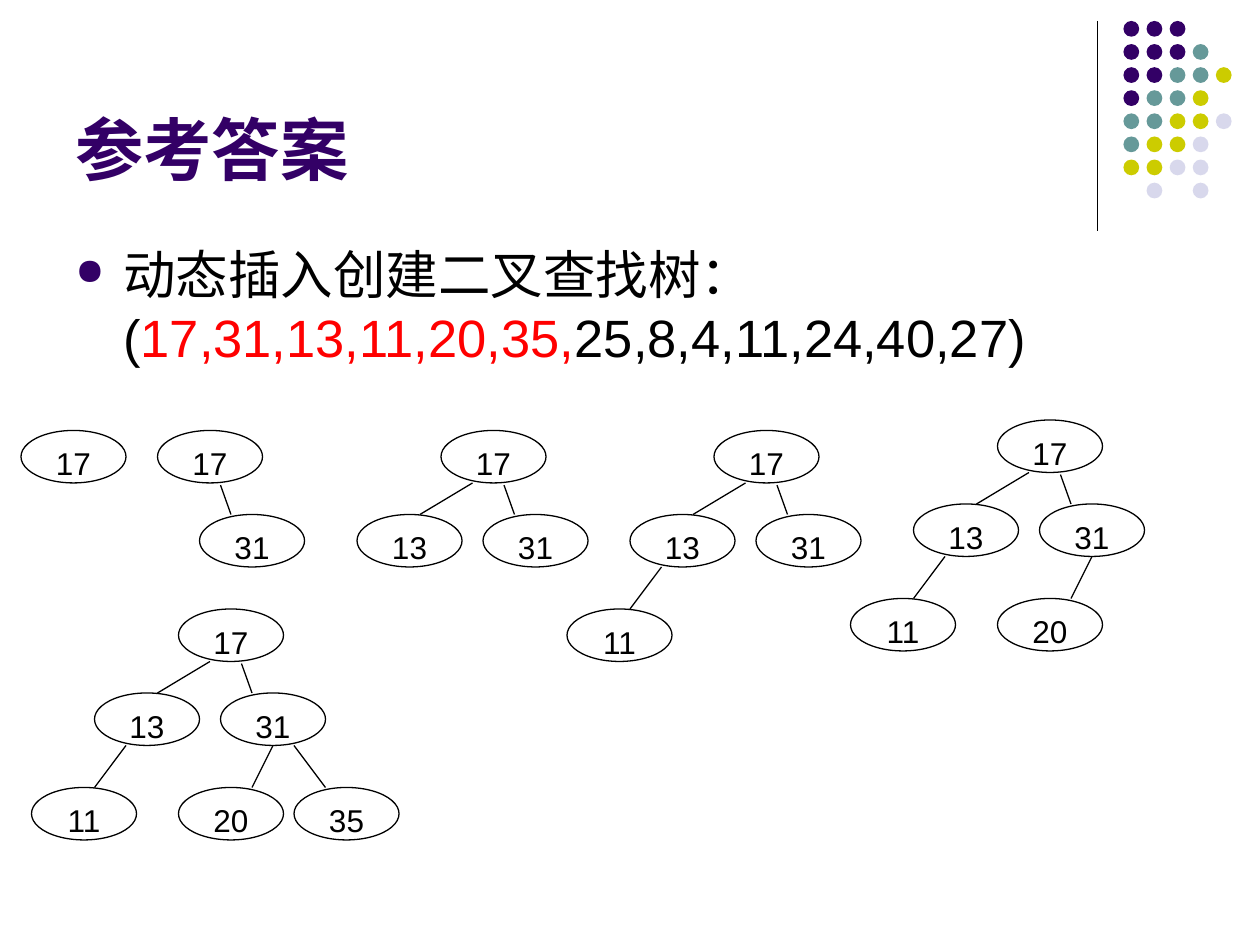
from lxml.etree import SubElement
from pptx import Presentation
from pptx.dml.color import RGBColor
from pptx.enum.shapes import MSO_CONNECTOR as Connector, MSO_SHAPE as Shape
from pptx.enum.text import MSO_ANCHOR as Anchor, PP_ALIGN as Align
from pptx.oxml.ns import qn
from pptx.util import Inches, Pt

CELL = Inches(1) // 12
COLUMNS, ROWS = 120, 90
COLORS = {"violet": "330066", "teal": "669999", "lime": "CCCC00",
          "mist": "D8D8EC", "black": "000000", "red": "FF0000", "white": "FFFFFF"}
DOT_KEYS = {"v": "violet", "t": "teal", "l": "lime", "m": "mist"}
DOT_ROWS = ["vvv", "vvvt", "vvttl", "vttl", "ttllm", "tllm", "llmm", " m m"]
NODE_WIDTH, NODE_HEIGHT = 10, 5
NODE_PLACES = {17: (0, 0), 31: (4, 8), 13: (-8, 8),
               11: (-14, 17), 20: (0, 17), 35: (11, 17)}
NODE_EDGES = {31: (7, 8, 6, 5.2), 13: (-2, 8, 3, 5), 11: (-8, 17, -5, 13),
              20: (7, 17, 9, 13), 35: (14, 17, 11, 13)}
TREES = [((2, 41), [17]),
         ((15, 41), [17, 31]),
         ((42, 41), [17, 31, 13]),
         ((68, 41), [17, 31, 13, 11]),
         ((95, 40), [17, 31, 13, 11, 20]),
         ((17, 58), [17, 31, 13, 11, 20, 35])]


def rgb(name):
    """Return the named colour."""
    return RGBColor.from_string(COLORS[name])


def grid(*cells):
    """Turn grid cells into lengths."""
    return [round(cell * CELL) for cell in cells]


def add_text(para, text, size=18, color="black", bold=False):
    """Append one formatted span to a paragraph."""
    span = para.add_run()
    span.text = text
    span.font.name = "Arial"
    span.font.size = Pt(size)
    span.font.bold = bold
    span.font.color.rgb = rgb(color)


def add_ellipse(shapes, box, fill, line=None):
    """Draw a flat ellipse in a box of grid cells."""
    ellipse = shapes.add_shape(Shape.OVAL, *grid(*box))
    ellipse.shadow.inherit = False
    ellipse.fill.solid()
    ellipse.fill.fore_color.rgb = rgb(fill)
    if line:
        ellipse.line.color.rgb = rgb(line)
        ellipse.line.width = Pt(0.75)
    else:
        ellipse.line.fill.background()
    return ellipse


def add_line(shapes, ends):
    """Draw a thin black line between two grid points."""
    line = shapes.add_connector(Connector.STRAIGHT, *grid(*ends))
    line.line.color.rgb = rgb("black")
    line.line.width = Pt(0.75)
    SubElement(line._element.spPr, qn("a:effectLst"))


def add_ornament(page, left, top, height):
    """Draw the corner rule and its pattern of dots."""
    add_line(page.shapes, (left, top, left, top + height))
    dots = page.shapes.add_group_shape().shapes
    pitch, size = 2.2, 1.5
    for row, keys in enumerate(DOT_ROWS):
        for column, key in enumerate(keys):
            if key in DOT_KEYS:
                place = (left + 2.5 + column * pitch, top + row * pitch)
                add_ellipse(dots, (*place, size, size), DOT_KEYS[key])


def add_box(page, box, anchor):
    """Add a wrapping text box and return its first paragraph."""
    frame = page.shapes.add_textbox(*grid(*box)).text_frame
    frame.word_wrap = True
    frame.vertical_anchor = anchor
    return frame.paragraphs[0]


def add_title(page, box):
    """Write the slide title at the foot of its box."""
    add_text(add_box(page, box, Anchor.BOTTOM), "参考答案",
             size=39, color="violet", bold=True)


def add_body(page, box):
    """Write the bulleted key sequence."""
    para = add_box(page, box, Anchor.TOP)
    layout = para._p.get_or_add_pPr()
    indent = Inches(0.38)
    layout.set("marL", str(indent))
    layout.set("indent", str(-indent))
    color = SubElement(layout, qn("a:buClr"))
    SubElement(color, qn("a:srgbClr"), val=COLORS["violet"])
    SubElement(layout, qn("a:buSzPct"), val="70000")
    SubElement(layout, qn("a:buChar"), char="●")
    add_text(para, "动态插入创建二叉查找树： (", size=30)
    add_text(para, "17,31,13,11,20,35,", size=30, color="red")
    add_text(para, "25,8,4,11,24,40,27)", size=30)


def add_tree(page, root, keys):
    """Draw a search tree from the top left corner of its root."""
    left, top = root
    shapes = page.shapes.add_group_shape().shapes
    for key in keys:
        across, down = NODE_PLACES[key]
        box = (left + across, top + down, NODE_WIDTH, NODE_HEIGHT)
        frame = add_ellipse(shapes, box, "white", "black").text_frame
        frame.vertical_anchor = Anchor.TOP
        frame.word_wrap = True
        para = frame.paragraphs[0]
        para.alignment = Align.CENTER
        add_text(para, str(key))
        if key in NODE_EDGES:
            x1, y1, x2, y2 = NODE_EDGES[key]
            add_line(shapes, (left + x1, top + y1, left + x2, top + y2))


def main():
    """Build and save the slide."""
    deck = Presentation()
    deck.slide_width, deck.slide_height = grid(COLUMNS, ROWS)
    page = deck.slides.add_slide(deck.slide_layouts[6])
    add_ornament(page, 104.5, 2, 20)
    add_title(page, (6, 1.6, 99, 17))
    add_body(page, (6, 22.5, 108, 57.8))
    for root, keys in TREES:
        add_tree(page, root, keys)
    deck.save("out.pptx")


if __name__ == "__main__":
    main()
